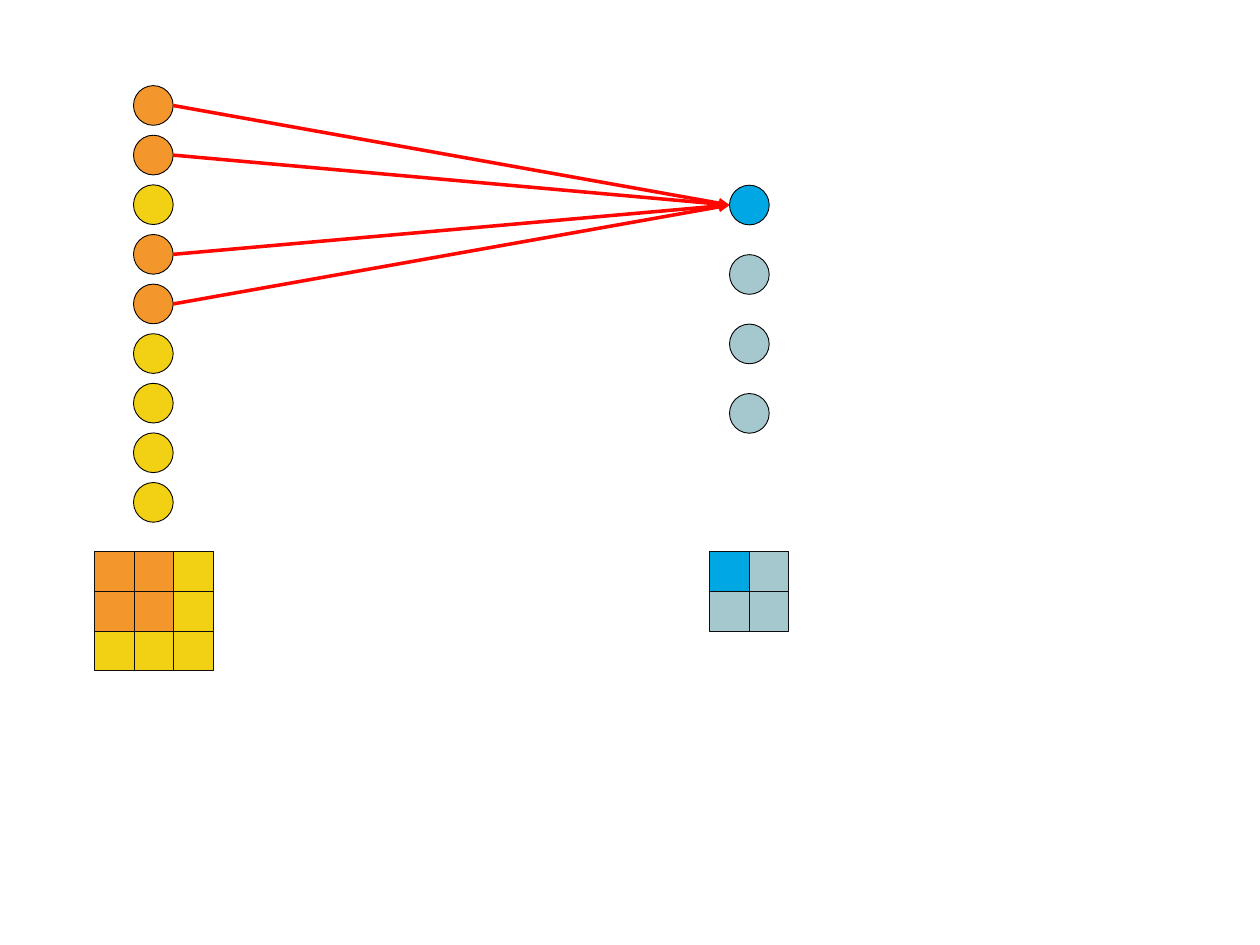
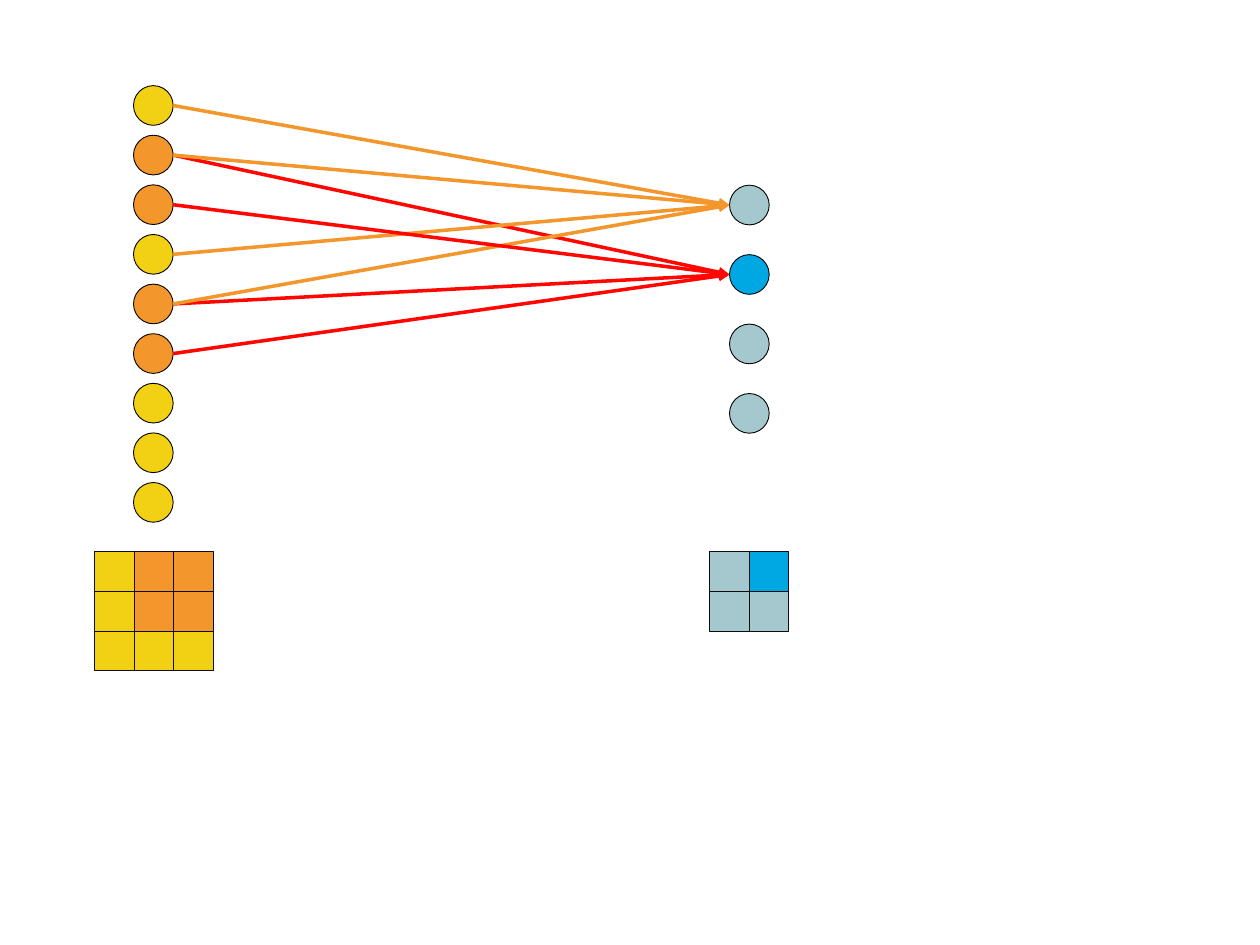
"""Two steps of a 2x2 window sliding over a 3x3 grid, with layer links."""
from dataclasses import dataclass

from lxml import etree
from pptx import Presentation
from pptx import util as u
from pptx.dml.color import RGBColor
from pptx.enum import shapes
from pptx.oxml.ns import qn


@dataclass(frozen=True)
class Theme:
    """Colours and line widths shared by the slides."""
    input_idle: str = "F2D115"
    input_active: str = "F3962C"
    output_idle: str = "A5C7CE"
    output_active: str = "00A8E3"
    link_now: str = "FF0700"
    link_past: str = "F3962C"
    node_line: str = "000000"
    cell_line: str = "0D0D0D"
    outline: float = 0.5
    link: float = 2


# Each step: the active output, and links (input, output) from back to front.
STEPS = [
    {"active": 0, "links": [(0, 0), (1, 0), (3, 0), (4, 0)]},
    {"active": 1, "links": [(0, 0), (1, 1), (1, 0), (3, 0),
                            (4, 1), (4, 0), (5, 1), (2, 1)]},
]

THEME = Theme()
SIZE = 0.63 / 2                      # side of a cell, diameter of a node
GRID_TOP = 4.38
INPUT = {"side": 3, "node_left": 1.06, "node_top": 0.68,
         "pitch": 1.25 * SIZE, "grid_left": 0.75}
OUTPUT = {"side": 2, "node_left": 5.79, "node_top": 1.47,
          "pitch": 1.75 * SIZE, "grid_left": 5.63}


def window(output):
    """Return the input indices covered by one output of the sliding window."""
    row, col = divmod(output, OUTPUT["side"])
    reach = INPUT["side"] - OUTPUT["side"] + 1
    return {(row + i) * INPUT["side"] + col + j
            for i in range(reach) for j in range(reach)}


def add_unit(s, kind, left, top, fill, line):
    """Add one node or cell."""
    sp = s.shapes.add_shape(kind, u.Inches(left), u.Inches(top),
                            u.Inches(SIZE), u.Inches(SIZE))
    sp.shadow.inherit = False
    sp.fill.solid()
    sp.fill.fore_color.rgb = RGBColor.from_string(fill)
    sp.line.color.rgb = RGBColor.from_string(line)
    sp.line.width = u.Pt(THEME.outline)


def add_layer(s, layer, active, idle_fill, active_fill):
    """Add a layer as a column of nodes and as a square grid."""
    side = layer["side"]
    fills = [active_fill if i in active else idle_fill
             for i in range(side * side)]
    for i, fill in enumerate(fills):
        add_unit(s, shapes.MSO_SHAPE.OVAL, layer["node_left"],
                 layer["node_top"] + i * layer["pitch"], fill, THEME.node_line)
    for i, fill in enumerate(fills):
        row, col = divmod(i, side)
        add_unit(s, shapes.MSO_SHAPE.RECTANGLE, layer["grid_left"] + col * SIZE,
                 GRID_TOP + row * SIZE, fill, THEME.cell_line)


def node_middle(layer, index):
    """Return the height of a node's centre."""
    return layer["node_top"] + index * layer["pitch"] + SIZE / 2


def add_link(s, source, target, color):
    """Add an arrow from an input node to an output node."""
    cn = s.shapes.add_connector(
        shapes.MSO_CONNECTOR.STRAIGHT,
        u.Inches(INPUT["node_left"] + SIZE), u.Inches(node_middle(INPUT, source)),
        u.Inches(OUTPUT["node_left"]), u.Inches(node_middle(OUTPUT, target)))
    cn.line.color.rgb = RGBColor.from_string(color)
    cn.line.width = u.Pt(THEME.link)
    props = cn.element.spPr
    etree.SubElement(props.find(qn("a:ln")), qn("a:tailEnd"), type="triangle")
    etree.SubElement(props, qn("a:effectLst"))


def add_step(prs, step):
    """Add the slide of one window position."""
    s = prs.slides.add_slide(prs.slide_layouts.get_by_name("Blank"))
    active = step["active"]
    add_layer(s, INPUT, window(active), THEME.input_idle, THEME.input_active)
    add_layer(s, OUTPUT, {active}, THEME.output_idle, THEME.output_active)
    for source, target in step["links"]:
        add_link(s, source, target,
                 THEME.link_now if target == active else THEME.link_past)


prs = Presentation()
prs.slide_width, prs.slide_height = u.Inches(10), u.Inches(7.5)
for step in STEPS:
    add_step(prs, step)
prs.save("out.pptx")
